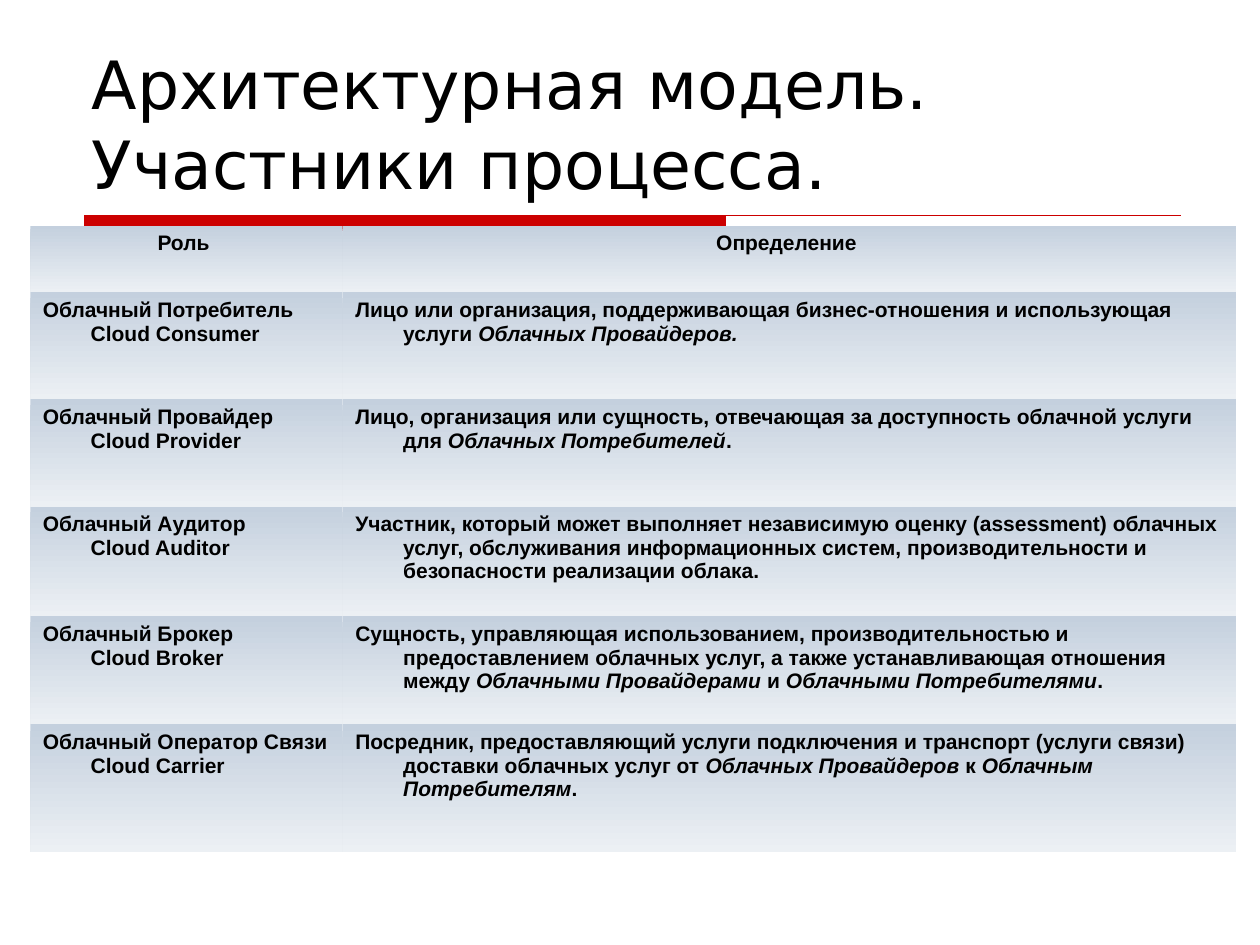
from pptx import Presentation
from pptx import util as u
from pptx.dml.color import RGBColor
from pptx.enum import shapes, text
from pptx.oxml.ns import qn
from lxml import etree

RED = RGBColor(0xCC, 0x00, 0x00)
BLACK = RGBColor(0, 0, 0)
CELL_TOP = RGBColor(0xC4, 0xD0, 0xDE)
CELL_BOTTOM = RGBColor(0xEC, 0xF0, 0xF4)
NO_STYLE = "{2D5ABB26-0587-4C30-8999-92F81FD0307C}"

ROWS = [
    ("Роль ", "Определение "),
    ("Облачный Потребитель \nCloud Consumer",
     "Лицо или организация, поддерживающая бизнес-отношения и использующая услуги "
     "*Облачных Провайдеров.*"),
    ("Облачный Провайдер\nCloud Provider",
     "Лицо, организация или сущность, отвечающая за доступность облачной услуги для "
     "*Облачных Потребителей*."),
    ("Облачный Аудитор\nCloud Auditor",
     "Участник, который может выполняет независимую оценку (assessment) облачных услуг, "
     "обслуживания информационных систем, производительности и безопасности "
     "реализации облака."),
    ("Облачный Брокер\nCloud Broker",
     "Сущность, управляющая использованием, производительностью и предоставлением "
     "облачных услуг, а также устанавливающая отношения между "
     "*Облачными Провайдерами* и *Облачными Потребителями*."),
    ("Облачный Оператор Связи\nCloud Carrier",
     "Посредник, предоставляющий услуги подключения и транспорт (услуги связи) "
     "доставки облачных услуг от *Облачных Провайдеров* к *Облачным Потребителям*."),
]
COL_WIDTHS = [2.48, 7.09]
ROW_HEIGHTS = [0.53, 0.85, 0.85, 0.87, 0.86, 1.01]


def add_text(p, marked):
    for i, part in enumerate(marked.split("*")):
        for j, line in enumerate(part.split("\n")):
            if j:
                p.add_line_break()
            if line:
                r = p.add_run()
                r.text = line
                if i % 2:
                    r.font.italic = True


def set_font(p, name, size):
    p.font.name = name
    p.font.size = u.Pt(size)
    p.font.color.rgb = BLACK


prs = Presentation()
prs.slide_width = u.Inches(10)
prs.slide_height = u.Inches(7.5)
s = prs.slides.add_slide(prs.slide_layouts[6])

left, right, top, bottom = u.Inches(0.67), u.Inches(9.37), u.Inches(1.71), u.Inches(1.83)
bar_right = u.Inches(5.76)
outline = s.shapes.build_freeform(left, top)
outline.add_line_segments([(bar_right, top), (bar_right, bottom), (left, bottom)], close=True)
outline.move_to(left, top)
outline.add_line_segments([(right, top)], close=False)
bar = outline.convert_to_shape()
bar.shadow.inherit = False
bar.fill.solid()
bar.fill.fore_color.rgb = RED
bar.line.color.rgb = RED
bar.line.width = u.Pt(0.75)

footer_rule = s.shapes.add_connector(shapes.MSO_CONNECTOR.STRAIGHT, left, u.Inches(6.75),
                                     u.Inches(9.33), u.Inches(6.75))
footer_rule.line.color.rgb = RED
footer_rule.line.width = u.Pt(0.25)
etree.SubElement(footer_rule._element.spPr, qn("a:effectLst"))

title = s.shapes.add_textbox(u.Inches(0.63), u.Inches(0.33), u.Inches(8.75), u.Inches(1.33))
tf = title.text_frame
tf.word_wrap = True
tf.vertical_anchor = text.MSO_ANCHOR.BOTTOM
p = tf.paragraphs[0]
add_text(p, "Архитектурная модель.\nУчастники процесса.")
set_font(p, "DejaVu Sans", 38)

table = s.shapes.add_table(len(ROWS), len(COL_WIDTHS), u.Inches(0.24), u.Inches(1.79),
                           u.Inches(sum(COL_WIDTHS)), u.Inches(sum(ROW_HEIGHTS))).table
table.first_row = False
table.horz_banding = False
table._tbl.tblPr.find(qn("a:tableStyleId")).text = NO_STYLE
for column, width in zip(table.columns, COL_WIDTHS):
    column.width = u.Inches(width)
for row, height in zip(table.rows, ROW_HEIGHTS):
    row.height = u.Inches(height)

for i, row in enumerate(ROWS):
    for j, marked in enumerate(row):
        cell = table.cell(i, j)
        cell.fill.gradient()
        cell.fill.gradient_angle = 270
        for stop, color, position in zip(cell.fill.gradient_stops, (CELL_TOP, CELL_BOTTOM), (0, 1)):
            stop.color.rgb = color
            stop.position = position
        p = cell.text_frame.paragraphs[0]
        add_text(p, marked)
        set_font(p, "Arial", 12)
        p.font.bold = True
        p.alignment = text.PP_ALIGN.LEFT if i else text.PP_ALIGN.CENTER
        pPr = p._p.get_or_add_pPr()
        pPr.set("marL", str(u.Inches(0.38)))
        pPr.set("indent", str(-u.Inches(0.38)))

prs.save("out.pptx")
